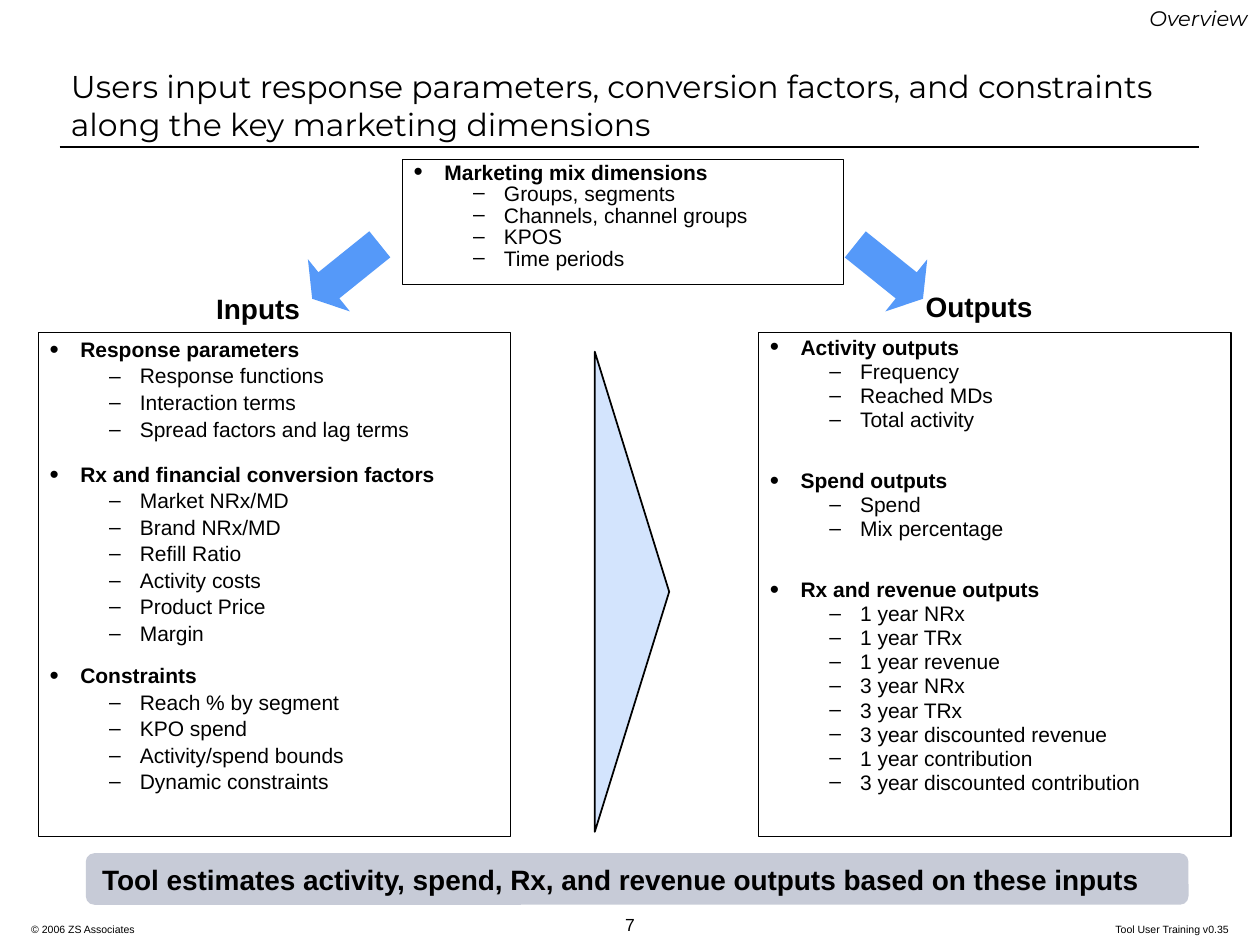
from lxml.etree import SubElement
from pptx import Presentation
from pptx.dml.color import RGBColor
from pptx.enum.shapes import MSO_CONNECTOR, MSO_SHAPE
from pptx.enum.text import MSO_ANCHOR, MSO_AUTO_SIZE, PP_ALIGN
from pptx.oxml.ns import qn
from pptx.util import Cm, Pt

BLACK = "000000"
ARROW_BLUE = "5599F9"
PALE_BLUE = "D3E4FD"
BANNER_GREY = "C7CBD7"
BODY_FONT = "Arial"
HEAD_FONT = "Montserrat"
NO_INSETS = (0, 0)
PANEL_INSETS = (0.23, 0.13)
LABEL_INSETS = (0.25, 0.13)

# Each group: space before its heading in points, heading, items
DIMENSIONS = [
    (0, "Marketing mix dimensions",
     ["Groups, segments", "Channels, channel groups", "KPOS", "Time periods"]),
]
INPUTS = [
    (0, "Response parameters",
     ["Response functions", "Interaction terms", "Spread factors and lag terms"]),
    (12.8, "Rx and financial conversion factors",
     ["Market NRx/MD", "Brand NRx/MD", "Refill Ratio", "Activity costs",
      "Product Price", "Margin"]),
    (11.1, "Constraints",
     ["Reach % by segment", "KPO spend", "Activity/spend bounds",
      "Dynamic constraints"]),
]
OUTPUTS = [
    (0, "Activity outputs", ["Frequency", "Reached MDs", "Total activity"]),
    (23.5, "Spend outputs", ["Spend", "Mix percentage"]),
    (23.5, "Rx and revenue outputs",
     ["1 year NRx", "1 year TRx", "1 year revenue", "3 year NRx", "3 year TRx",
      "3 year discounted revenue", "1 year contribution",
      "3 year discounted contribution"]),
]


def color(hex_value):
    return RGBColor.from_string(hex_value)


def box(left, top, width, height):
    return Cm(left), Cm(top), Cm(width), Cm(height)


def format_runs(paragraph, size, font=BODY_FONT, bold=False, italic=False):
    for run in paragraph.runs:
        run.font.name = font
        run.font.size = Pt(size)
        run.font.bold = bold
        run.font.italic = italic
        run.font.color.rgb = color(BLACK)


def set_frame(frame, insets, anchor=MSO_ANCHOR.TOP, wrap=True):
    frame.margin_left = frame.margin_right = Cm(insets[0])
    frame.margin_top = frame.margin_bottom = Cm(insets[1])
    frame.vertical_anchor = anchor
    frame.word_wrap = wrap
    frame.auto_size = MSO_AUTO_SIZE.NONE


def add_label(slide, text, place, size, insets=LABEL_INSETS,
              anchor=MSO_ANCHOR.TOP, align=PP_ALIGN.LEFT, wrap=True,
              spacing=1.0, **style):
    frame = slide.shapes.add_textbox(*box(*place)).text_frame
    set_frame(frame, insets, anchor, wrap)
    frame.text = text
    paragraph = frame.paragraphs[0]
    paragraph.alignment = align
    paragraph.line_spacing = spacing
    format_runs(paragraph, size, **style)


def add_block(slide, kind, place, fill=None, line_width=None, rotation=0):
    block = slide.shapes.add_shape(kind, *box(*place))
    block.shadow.inherit = False
    block.rotation = rotation
    if fill:
        block.fill.solid()
        block.fill.fore_color.rgb = color(fill)
    else:
        block.fill.background()
    if line_width:
        block.line.color.rgb = color(BLACK)
        block.line.width = Pt(line_width)
    else:
        block.line.fill.background()
    return block


def add_bullet(paragraph, char, indent, percent):
    properties = paragraph._p.get_or_add_pPr()
    properties.set("marL", str(Cm(indent)))
    properties.set("indent", str(-Cm(0.62)))
    bullet_color = SubElement(properties, qn("a:buClr"))
    SubElement(bullet_color, qn("a:srgbClr")).set("val", BLACK)
    SubElement(properties, qn("a:buSzPct")).set("val", str(percent * 1000))
    SubElement(properties, qn("a:buFont")).set("typeface", BODY_FONT)
    SubElement(properties, qn("a:buChar")).set("char", char)


def add_panel(slide, place, groups, spacing):
    """Outlined box with bold headings and dashed items below each."""
    frame = add_block(slide, MSO_SHAPE.RECTANGLE, place, line_width=0.75).text_frame
    set_frame(frame, PANEL_INSETS)
    lines = []
    for gap, heading, items in groups:
        lines.append((heading, True, gap))
        lines += [(item, False, 2.2) for item in items]
    for number, (text, is_heading, gap) in enumerate(lines):
        paragraph = frame.add_paragraph() if number else frame.paragraphs[0]
        paragraph.text = text
        paragraph.alignment = PP_ALIGN.LEFT
        if is_heading:
            add_bullet(paragraph, "•", 0.62, 125)
        else:
            paragraph.level = 1
            add_bullet(paragraph, "–", 1.82, 100)
        paragraph.line_spacing = spacing
        paragraph.space_before = Pt(gap)
        format_runs(paragraph, 12, bold=is_heading)


def add_title(slide):
    title = slide.shapes.title
    title.left, title.top, title.width, title.height = box(1.2, 0.58, 22.99, 2.39)
    set_frame(title.text_frame, (0.23, 0.1), MSO_ANCHOR.BOTTOM)
    title.text_frame.text = ("Users input response parameters, conversion factors, "
                             "and constraints along the key marketing dimensions")
    paragraph = title.text_frame.paragraphs[0]
    paragraph.alignment = PP_ALIGN.LEFT
    format_runs(paragraph, 18, font=HEAD_FONT)

    rule = slide.shapes.add_connector(
        MSO_CONNECTOR.STRAIGHT, Cm(1.2), Cm(2.97), Cm(24.18), Cm(2.97))
    rule.line.color.rgb = color(BLACK)
    rule.line.width = Pt(1)
    SubElement(rule._element.spPr, qn("a:effectLst"))


def add_banner(slide):
    banner = add_block(slide, MSO_SHAPE.ROUNDED_RECTANGLE,
                       (1.73, 17.2, 22.23, 1.04), fill=BANNER_GREY)
    set_frame(banner.text_frame, (0.28, 0.13))
    banner.text_frame.text = ("Tool estimates activity, spend, Rx, and revenue "
                              "outputs based on these inputs")
    paragraph = banner.text_frame.paragraphs[0]
    paragraph.alignment = PP_ALIGN.LEFT
    format_runs(paragraph, 16, bold=True)


def add_footer(slide):
    for text, left, align in [
        ("© 2006 ZS Associates", 0.63, PP_ALIGN.LEFT),
        ("Tool User Training v0.35", 18.72, PP_ALIGN.RIGHT),
    ]:
        add_label(slide, text, (left, 18.49, 6.05, 0.36), 6, NO_INSETS,
                  MSO_ANCHOR.BOTTOM, align, spacing=0.8)
    add_label(slide, "7", (11.43, 18.47, 2.54, 0.38), 10, NO_INSETS,
              MSO_ANCHOR.BOTTOM, PP_ALIGN.CENTER)


def main():
    presentation = Presentation()
    presentation.slide_width, presentation.slide_height = Cm(25.4), Cm(19.05)
    slide = presentation.slides.add_slide(presentation.slide_layouts[5])

    # Heading
    add_title(slide)
    add_label(slide, "Overview", (19.69, 0, 5.71, 0.76), 12, anchor=MSO_ANCHOR.BOTTOM,
              align=PP_ALIGN.RIGHT, font=HEAD_FONT, italic=True)

    # Dimensions, inputs and outputs
    add_panel(slide, (8.11, 3.22, 8.89, 2.51), DIMENSIONS, 0.7)
    add_panel(slide, (0.77, 6.71, 9.53, 10.16), INPUTS, 0.9)
    add_panel(slide, (15.29, 6.71, 9.53, 10.16), OUTPUTS, 0.8)
    add_label(slide, "Inputs", (4.11, 5.74, 2.18, 0.94), 16, wrap=False, bold=True)
    add_label(slide, "Outputs", (18.41, 5.71, 2.67, 0.94), 16, wrap=False, bold=True)

    # Flow from inputs to outputs, and from dimensions to both
    add_block(slide, MSO_SHAPE.ISOSCELES_TRIANGLE, (7.9, 11.18, 9.68, 1.5),
              PALE_BLUE, 1, rotation=90)
    for left, rotation in [(6.3, 51.2), (17.25, 308.8)]:
        arrow = add_block(slide, MSO_SHAPE.DOWN_ARROW, (left, 4.6, 1.35, 1.75),
                          ARROW_BLUE, rotation=rotation)
        arrow.adjustments[0] = 0.5
        arrow.adjustments[1] = 0.32

    # Conclusion and footer
    add_banner(slide)
    add_footer(slide)
    presentation.save("out.pptx")


if __name__ == "__main__":
    main()
